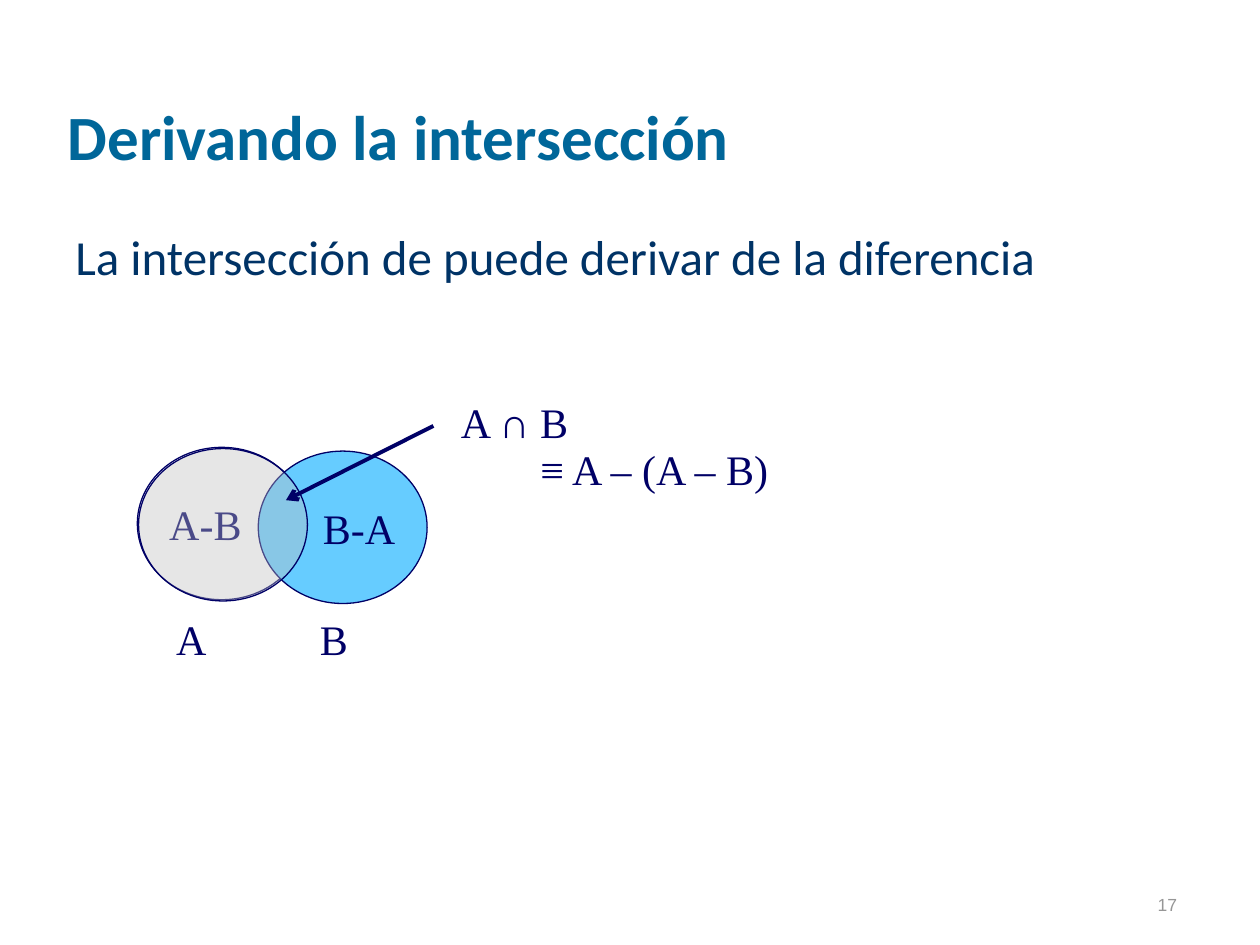
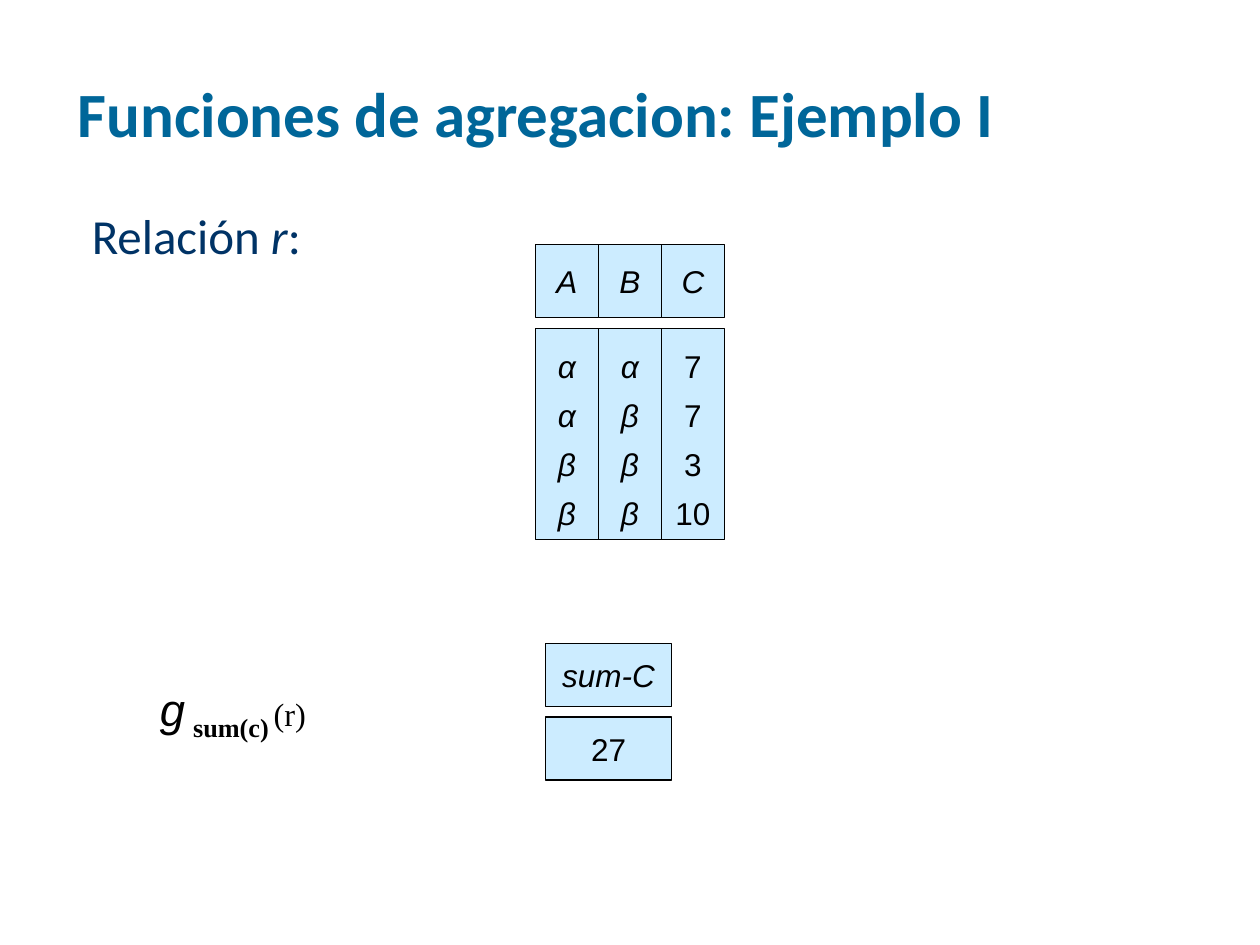
from lxml.etree import SubElement
from pptx import Presentation
from pptx.dml.color import RGBColor
from pptx.enum.shapes import MSO_CONNECTOR, MSO_SHAPE
from pptx.enum.text import MSO_ANCHOR, PP_ALIGN
from pptx.oxml.ns import qn
from pptx.util import Inches, Pt

NAVY = "000066"
BLACK = "000000"
CELL_BLUE = "CCECFF"
TITLE = dict(size=36, font="Calibri", ink="006699", bold=True, anchor=MSO_ANCHOR.BOTTOM)
BODY = dict(size=28, font="Calibri", ink="003366", space_before=7)
LABEL = dict(size=24, font="Times New Roman", ink=NAVY)
CELL = dict(size=18, font="Arial", ink=BLACK, outline=MSO_SHAPE.RECTANGLE, fill=CELL_BLUE)


def color(value):
    return RGBColor.from_string(value)


def add_text(slide, box, parts, size, font, ink, bold=False, italic=False, anchor=MSO_ANCHOR.TOP,
             align=PP_ALIGN.LEFT, space_before=None, line_spacing=None, outline=None, fill=None):
    place = [Inches(length) for length in box]
    if outline is None:
        item = slide.shapes.add_textbox(*place)
    else:
        item = slide.shapes.add_shape(outline, *place)
        item.shadow.inherit = False
        item.fill.solid()
        item.fill.fore_color.rgb = color(fill)
        item.line.color.rgb = color(ink)
        item.line.width = Pt(0.75)
        anchor, align = MSO_ANCHOR.MIDDLE, PP_ALIGN.CENTER
    frame = item.text_frame
    frame.word_wrap = outline is None
    frame.vertical_anchor = anchor
    frame.text = parts[0]
    for part in parts[1:]:
        frame.paragraphs[0].add_run().text = part
    for paragraph in frame.paragraphs:
        paragraph.alignment = align
        paragraph.line_spacing = line_spacing
        if space_before:
            paragraph.space_before = Pt(space_before)
        for run in paragraph.runs:
            run.font.size = Pt(size)
            run.font.name = font
            run.font.bold = bold
            run.font.italic = italic
            run.font.color.rgb = color(ink)
    return item


deck = Presentation()
deck.slide_width = Inches(10)
deck.slide_height = Inches(7.5)
blank = deck.slide_layouts[6]

intersection = deck.slides.add_slide(blank)
add_text(intersection, (7.36, 6.81, 2.08, 0.5), ["17"], 10, "Arial", "969696",
         anchor=MSO_ANCHOR.BOTTOM, align=PP_ALIGN.RIGHT)
add_text(intersection, (0.44, 0.17, 8.5, 1.25), ["Derivando la intersección"], **TITLE)
add_text(intersection, (0.5, 1.75, 8.94, 4.88),
         ["La intersección de puede derivar de la diferencia"], **BODY)

for left, top, text, fill, left_inset, right_inset in [
    (1.09, 3.55, "A-B", "FFFFFF", 0, 0.26),
    (2.05, 3.58, "B-A", "66CCFF", 0.26, 0),
]:
    circle = add_text(intersection, (left, top, 1.34, 1.21), [text],
                      outline=MSO_SHAPE.OVAL, fill=fill, **LABEL)
    circle.text_frame.margin_left = Inches(left_inset)
    circle.text_frame.margin_right = Inches(right_inset)

veil = add_text(intersection, (1.1, 3.56, 1.34, 1.21), [""],
                outline=MSO_SHAPE.OVAL, fill="C0C0C0", **LABEL)
veil_color = veil.fill._xPr.find(qn("a:solidFill"))[0]
SubElement(veil_color, qn("a:alpha"), val="39000")

for left, set_name in [(1.3, "A"), (2.44, "B")]:
    add_text(intersection, (left, 4.82, 0.5, 0.5), [set_name], **LABEL)

pointer = intersection.shapes.add_connector(
    MSO_CONNECTOR.STRAIGHT, Inches(3.44), Inches(3.38), Inches(2.27), Inches(3.97))
pointer.line.color.rgb = color(NAVY)
pointer.line.width = Pt(2.25)
SubElement(pointer.line._get_or_add_ln(), qn("a:tailEnd"), type="arrow")
SubElement(pointer._element.spPr, qn("a:effectLst"))

cap = add_text(intersection, (3.56, 3.1, 1.09, 0.5), ["A ", "∩", " B"], **LABEL)
cap.text_frame.paragraphs[0].runs[1].font.name = "Arial"
add_text(intersection, (4.19, 3.47, 2.06, 0.9), ["≡ A – (A – B)"], **LABEL)

aggregation = deck.slides.add_slide(blank)
add_text(aggregation, (0.52, -0.06, 8.83, 1.3), ["Funciones de agregacion: Ejemplo I"], **TITLE)
relation = add_text(aggregation, (0.63, 1.58, 1.98, 1.04), ["Relación ", "r", ":"], **BODY)
relation.text_frame.paragraphs[0].runs[1].font.italic = True

for column, (attribute, values) in enumerate([
    ("A", "α\nα\nβ\nβ"),
    ("B", "α\nβ\nβ\nβ"),
    ("C", "7\n7\n3\n10"),
]):
    left = 4.25 + 0.5 * column
    add_text(aggregation, (left, 1.94, 0.5, 0.58), [attribute], italic=True, **CELL)
    add_text(aggregation, (left, 2.61, 0.5, 1.67), [values], italic=attribute != "C",
             line_spacing=1.3, **CELL)

formula = add_text(aggregation, (1.17, 5.36, 1.77, 0.61), ["g", " ", "sum(c)", " ", "(r)"],
                   18.5, "Times New Roman", BLACK, space_before=8.8, line_spacing=0.9)
function, gap, subscript, subscript_gap, argument = formula.text_frame.paragraphs[0].runs
function.font.name = "Arial"
function.font.italic = True
for run in (function, subscript):
    run.font.size = Pt(25.9)
for run in (gap, subscript, subscript_gap):
    run.font.bold = True
for run in (subscript, subscript_gap):
    run.font._element.set("baseline", "-25000")

for top, text, italic in [(5.11, "sum-C", True), (5.69, "27", False)]:
    add_text(aggregation, (4.33, top, 1, 0.5), [text], italic=italic, **CELL)

deck.save("out.pptx")
